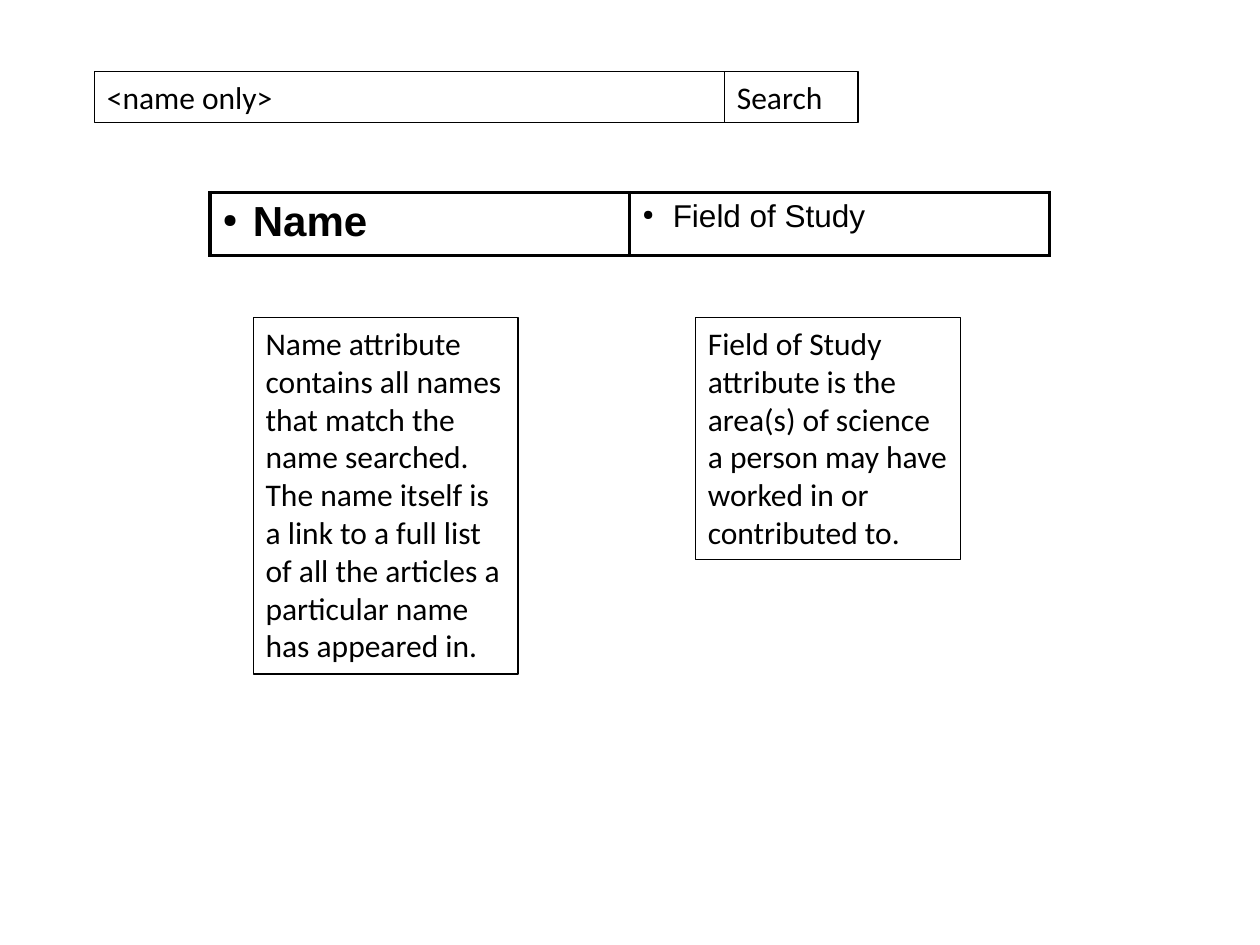
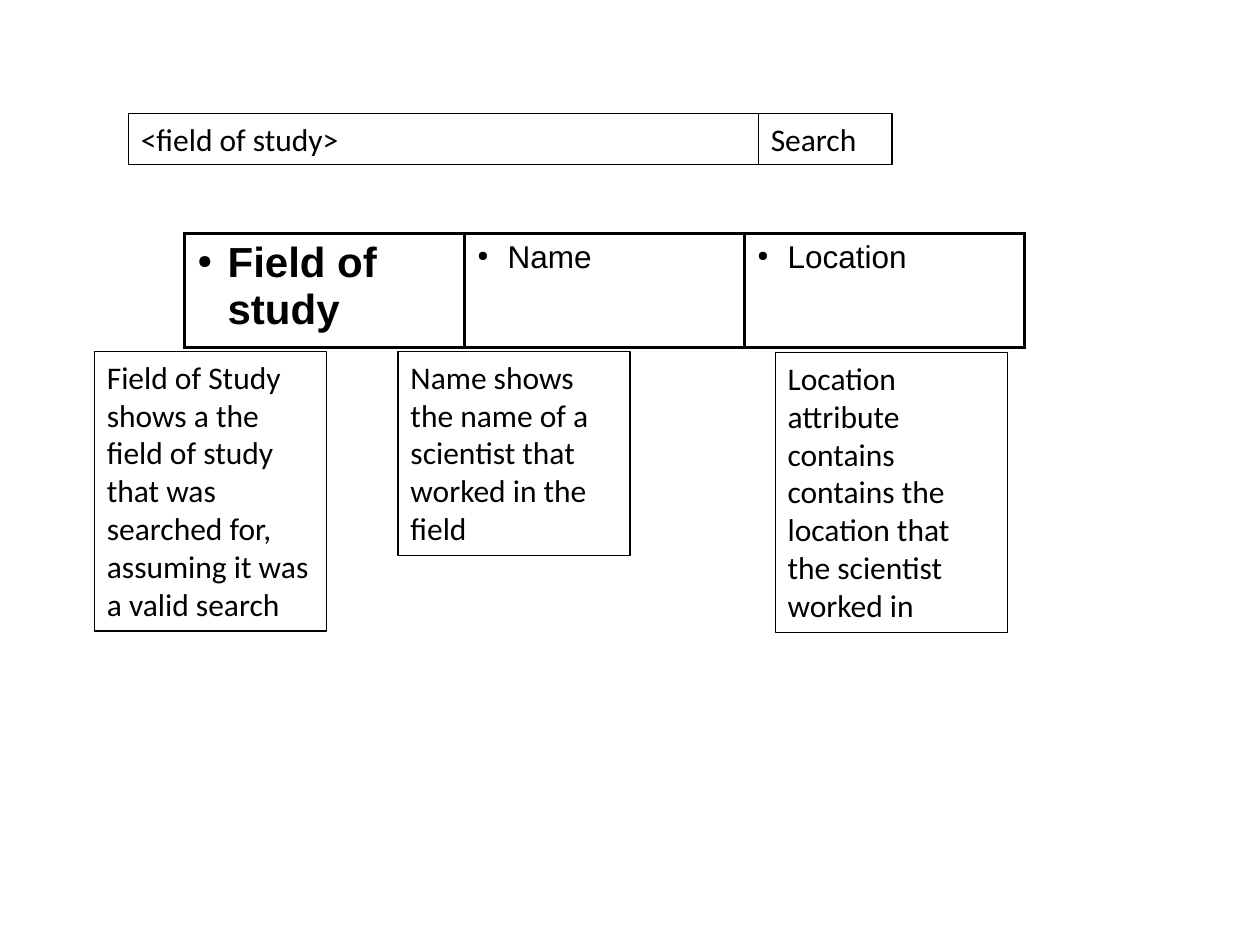
from dataclasses import dataclass

from lxml.etree import SubElement
from pptx import Presentation
from pptx.dml.color import RGBColor
from pptx.enum.shapes import MSO_SHAPE
from pptx.enum.text import MSO_ANCHOR, MSO_AUTO_SIZE, PP_ALIGN
from pptx.oxml import parse_xml
from pptx.oxml.ns import nsdecls, qn
from pptx.util import Pt


@dataclass(frozen=True)
class Theme:
    ink: str = "000000"
    paper: str = "FFFFFF"
    body_font: str = "Calibri"
    table_font: str = "Arial"
    body_size: float = 18
    key_size: float = 24
    box_line: float = 0.75
    table_line: float = 1.98
    bullet_indent: float = 17.28


THEME = Theme()
INK = RGBColor.from_string(THEME.ink)
PAPER = RGBColor.from_string(THEME.paper)

SEARCH_LABEL = "Search"
QUERY_WIDTH, BUTTON_WIDTH, SEARCH_HEIGHT = 360, 76.3, 29.1
TABLE_WIDTH = 480

SCREENS = [
    {
        "query": "<name only>",
        "search_at": (54, 40.9),
        "attributes": ["Name", "Field of Study"],
        "table_at": (120, 110),
        "row_height": 36,
        "note_width": 151.4,
        "notes": [
            (144.7, 181.6, 203.6, "Name attribute contains all names that match the name searched. "
             "The name itself is a link to a full list of all the articles "
             "a particular name has appeared in."),
            (397.4, 181.6, 138.2, "Field of Study attribute is the area(s) of science "
             "a person may have worked in or contributed to."),
        ],
    },
    {
        "query": "<field of study>",
        "search_at": (73.4, 65),
        "attributes": ["Field of study", "Name", "Location"],
        "table_at": (105.6, 133.5),
        "row_height": 64.8,
        "note_width": 132.6,
        "notes": [
            (54, 200.9, 159.8, "Field of Study shows a the field of study that was searched for, "
             "assuming it was a valid search"),
            (227.5, 200.9, 116.6, "Name shows the name of a scientist that worked in the field"),
            (443, 201.6, 159.8, "Location attribute contains contains the location "
             "that the scientist worked in"),
        ],
    },
]


def style_font(paragraph, family, size, bold=False):
    for run in paragraph.runs:
        run.font.name = family
        run.font.size = Pt(size)
        run.font.bold = bold
        run.font.color.rgb = INK


def add_box(slide, left, top, width, height, text):
    box = slide.shapes.add_shape(MSO_SHAPE.RECTANGLE, Pt(left), Pt(top), Pt(width), Pt(height))
    box.shadow.inherit = False
    box.fill.background()
    box.line.color.rgb = INK
    box.line.width = Pt(THEME.box_line)
    frame = box.text_frame
    frame.text = text
    frame.word_wrap = True
    frame.auto_size = MSO_AUTO_SIZE.SHAPE_TO_FIT_TEXT
    frame.vertical_anchor = MSO_ANCHOR.TOP
    frame.paragraphs[0].alignment = PP_ALIGN.LEFT
    style_font(frame.paragraphs[0], THEME.body_font, THEME.body_size)


def add_bullet(paragraph):
    properties = paragraph._p.get_or_add_pPr()
    indent = Pt(THEME.bullet_indent)
    properties.set("marL", str(indent))
    properties.set("indent", str(-indent))
    color = SubElement(properties, qn("a:buClr"))
    SubElement(color, qn("a:srgbClr"), val=THEME.ink)
    SubElement(properties, qn("a:buSzPct"), val="45000")
    SubElement(properties, qn("a:buChar"), char="●")


def add_borders(cell):
    properties = cell._tc.get_or_add_tcPr()
    for position, side in enumerate(("lnL", "lnR", "lnT", "lnB")):
        properties.insert(position, parse_xml(
            f'<a:{side} {nsdecls("a")} w="{Pt(THEME.table_line)}"><a:solidFill>'
            f'<a:srgbClr val="{THEME.ink}"/></a:solidFill></a:{side}>'))


def add_attributes(slide, attributes, table_at, row_height):
    left, top = table_at
    table = slide.shapes.add_table(1, len(attributes), Pt(left), Pt(top),
                                   Pt(TABLE_WIDTH), Pt(row_height)).table
    for column, attribute in enumerate(attributes):
        is_key = column == 0
        cell = table.cell(0, column)
        cell.text_frame.text = attribute
        cell.fill.solid()
        cell.fill.fore_color.rgb = PAPER
        add_borders(cell)
        paragraph = cell.text_frame.paragraphs[0]
        add_bullet(paragraph)
        style_font(paragraph, THEME.table_font,
                   THEME.key_size if is_key else THEME.body_size, is_key)


def add_search_bar(slide, query, search_at):
    left, top = search_at
    add_box(slide, left, top, QUERY_WIDTH, SEARCH_HEIGHT, query)
    add_box(slide, left + QUERY_WIDTH, top, BUTTON_WIDTH, SEARCH_HEIGHT, SEARCH_LABEL)


def main():
    deck = Presentation()
    deck.slide_width, deck.slide_height = Pt(720), Pt(540)
    for screen in SCREENS:
        slide = deck.slides.add_slide(deck.slide_layouts[6])
        add_search_bar(slide, screen["query"], screen["search_at"])
        add_attributes(slide, screen["attributes"], screen["table_at"], screen["row_height"])
        for left, top, height, note in screen["notes"]:
            add_box(slide, left, top, screen["note_width"], height, note)
    deck.save("out.pptx")


if __name__ == "__main__":
    main()
